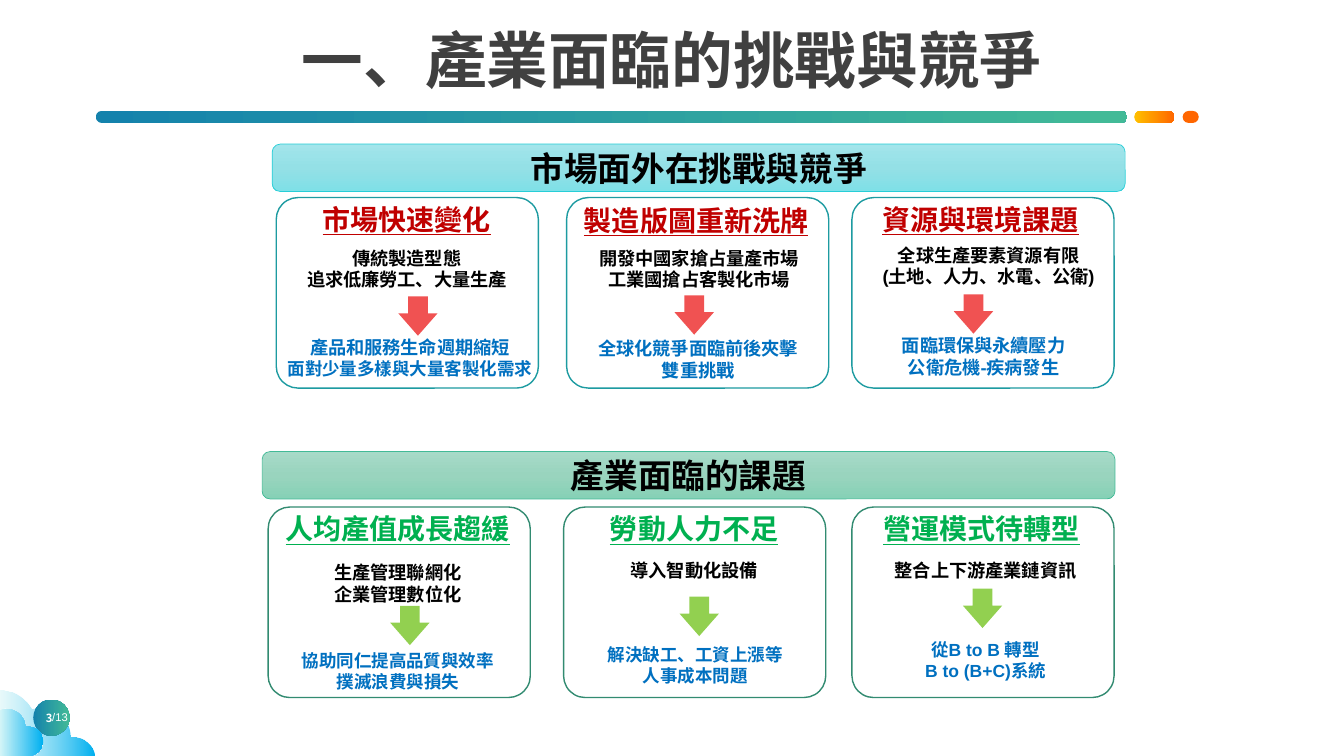
"""Builds the slide on the challenges and competition the industry faces."""
import itertools
import pptx
import pptx.dml.color
import pptx.enum.shapes
import pptx.enum.text
import pptx.oxml
import pptx.oxml.ns
import pptx.util

Inches = pptx.util.Inches
Kind = pptx.enum.shapes.MSO_SHAPE
Align = pptx.enum.text.PP_ALIGN
Anchor = pptx.enum.text.MSO_ANCHOR
Fit = pptx.enum.text.MSO_AUTO_SIZE
SPACE = pptx.oxml.ns.nsdecls("a")
CJK = "Noto Sans CJK SC"
TEAL = ["1482AC", "42BA97"]
SKY = ["D4F5F7", "00B0F0"]


def color(code):
    return pptx.dml.color.RGBColor.from_string(code)


def curve(start, x1, y1, x2, y2, x3, y3, steps=8):
    for i in range(1, steps + 1):
        t = i / steps
        u = 1 - t
        parts = (u ** 3, 3 * u * u * t, 3 * u * t * t, t ** 3)
        yield tuple(sum(k * v for k, v in zip(parts, axis))
                    for axis in ((start[0], x1, x2, x3), (start[1], y1, y2, y3)))


class Deck:
    def __init__(self):
        self.show = pptx.Presentation()
        self.show.slide_width = Inches(13.33)
        self.show.slide_height = Inches(7.5)
        self.slide = self.show.slides.add_slide(self.show.slide_layouts[5])
        self.shapes = self.slide.shapes

    def paint(self, shape, fill, line=None, width=1, angle=0, alpha=100):
        shape.shadow.inherit = False
        if isinstance(fill, str):
            shape.fill.solid()
            shape.fill.fore_color.rgb = color(fill)
        else:
            shape.fill.background()
            stops = ""
            for i, code in enumerate(fill):
                clear = alpha if i == 0 else 100
                stops += (f'<a:gs pos="{100000 * i // (len(fill) - 1)}"><a:srgbClr val="{code}">'
                          f'<a:alpha val="{clear * 1000}"/></a:srgbClr></a:gs>')
            grad = pptx.oxml.parse_xml(f'<a:gradFill {SPACE} rotWithShape="1"><a:gsLst>{stops}</a:gsLst>'
                                       f'<a:lin ang="{angle * 60000}" scaled="0"/></a:gradFill>')
            props = shape._element.spPr
            props.replace(props.find(pptx.oxml.ns.qn("a:noFill")), grad)
        if line:
            shape.line.color.rgb = color(line)
            shape.line.width = pptx.util.Pt(width)
        else:
            shape.line.fill.background()

    def shape(self, kind, x, y, w, h, fill, adjust=(), **style):
        shape = self.shapes.add_shape(kind, Inches(x), Inches(y), Inches(w), Inches(h))
        for i, value in enumerate(adjust):
            shape.adjustments[i] = value
        self.paint(shape, fill, **style)
        return shape

    def cloud(self, route, alpha=100):
        points = [route[0]]
        for step in route[1:]:
            points += [step] if len(step) == 2 else curve(points[-1], *step)
        spots = [(Inches(x), Inches(y)) for x, y in points]
        form = self.shapes.build_freeform(*spots[0], scale=1.0)
        form.add_line_segments(spots[1:], close=True)
        self.paint(form.convert_to_shape(), SKY, alpha=alpha)

    def letter(self, frame, lines, sizes, ink, name="Arial", align=Align.CENTER,
               bold=True, under=None):
        for i, (line, size) in enumerate(zip(lines, itertools.cycle(sizes))):
            para = frame.add_paragraph() if i else frame.paragraphs[0]
            para.text = line
            para.alignment = align
            font = para.font
            font.size = pptx.util.Pt(size)
            font.bold = bold
            font.underline = under
            font.color.rgb = color(ink)
            font.name = name
            latin = para._p.pPr.find(".//" + pptx.oxml.ns.qn("a:latin"))
            latin.addnext(pptx.oxml.parse_xml(f'<a:ea {SPACE} typeface="{CJK}"/>'))

    def text(self, x, y, w, h, lines, sizes, ink, wrap=True, anchor=Anchor.TOP, **style):
        frame = self.shapes.add_textbox(Inches(x), Inches(y), Inches(w), Inches(h)).text_frame
        frame.word_wrap = wrap
        frame.vertical_anchor = anchor
        self.letter(frame, lines, sizes, ink, **style)
        return frame

    def block(self, spot, lines, sizes, ink, **style):
        mid, top = spot
        count = len(lines) + sum(line.count("\v") for line in lines)
        high = 0.1 + count * sizes[0] / 60
        frame = self.text(mid - 1.32, top, 2.65, high, lines, sizes, ink, **style)
        frame.auto_size = Fit.SHAPE_TO_FIT_TEXT

    def title(self, words):
        head = self.shapes.title
        head.left, head.top = Inches(0), Inches(0.06)
        head.width, head.height = Inches(13.33), Inches(1.04)
        frame = head.text_frame
        frame.auto_size = Fit.NONE
        frame.vertical_anchor = Anchor.MIDDLE
        self.letter(frame, [words], [44], "404040", name=CJK)

    def banner(self, x, y, words, fill, line):
        bar = self.shape(Kind.ROUNDED_RECTANGLE, x, y, 8.46, 0.47, fill,
                         line=line, width=0.5, angle=90)
        bar.text_frame.vertical_anchor = Anchor.MIDDLE
        self.letter(bar.text_frame, [words], [24], "000000", name=CJK)

    def card(self, x, y, look, head, note, arrow, goal):
        edge, ink, mark = look
        self.shape(Kind.ROUNDED_RECTANGLE, x, y, 2.6, 1.89, "FFFFFF", [0.114], line=edge)
        self.block(head[0], [head[1]], [20], ink, under=True)
        self.block(note[0], note[1], [13], "000000")
        self.block(goal[0], goal[1], goal[2], "0070C0")
        self.shape(Kind.DOWN_ARROW, *arrow, 0.39, 0.39, mark, [0.5, 0.57])


BACK = [(0, 6.85), (0.05, 6.85), (0.16, 6.86, 0.26, 6.93, 0.32, 7.03),
        (0.4, 7, 0.5, 7.02, 0.58, 7.07), (0.65, 7.12, 0.7, 7.21, 0.7, 7.3), (0.72, 7.3),
        (0.83, 7.3, 0.92, 7.38, 0.94, 7.48), (0.94, 7.5), (0.28, 7.5),
        (0.34, 7.5, 0.39, 7.46, 0.41, 7.42), (0.44, 7.37, 0.43, 7.31, 0.4, 7.27),
        (0.37, 7.23, 0.33, 7.21, 0.29, 7.21), (0.25, 7.21),
        (0.25, 7.13, 0.19, 7.06, 0.11, 7.04), (0.09, 7.03, 0.07, 7.03, 0.05, 7.03), (0, 7.05)]
FRONT = [(0.05, 7.03), (0.11, 7.04), (0.19, 7.06, 0.25, 7.13, 0.25, 7.21), (0.29, 7.21),
         (0.33, 7.22), (0.36, 7.23, 0.38, 7.24, 0.4, 7.27),
         (0.43, 7.31, 0.44, 7.37, 0.41, 7.42), (0.39, 7.46, 0.34, 7.5, 0.28, 7.5),
         (0, 7.5), (0, 7.05)]
RED = ("1D9BA1", "C00000", "F05252")
GREEN = ("328B71", "00B050", "92D050")
MARKET = [
    (2.74, ((4.03, 1.96), "市場快速變化"),
     ((4.03, 2.4), ["傳統製造型態\v追求低廉勞工、大量生產"]), (3.95, 2.94),
     ((4.06, 3.29), ["產品和服務生命週期縮短", "面對少量多樣與大量客製化需求"], [13, 12.5])),
    (5.62, ((6.9, 1.97), "製造版圖重新洗牌"),
     ((6.93, 2.4), ["開發中國家搶占量產市場\v工業國搶占客製化市場"]), (6.69, 2.93),
     ((6.92, 3.3), ["全球化競爭面臨前後夾擊", "雙重挑戰"], [13])),
    (8.45, ((9.72, 1.96), "資源與環境課題"),
     ((9.8, 2.37), ["全球生產要素資源有限\v(土地、人力、水電、公衛)"]), (9.46, 2.92),
     ((9.75, 3.27), ["面臨環保與永續壓力", "公衛危機-疾病發生"], [13])),
]
ISSUES = [
    (2.66, ((3.94, 5.03), "人均產值成長趨緩"),
     ((3.94, 5.52), ["生產管理聯網化", "企業管理數位化"]), (3.87, 6.01),
     ((3.94, 6.4), ["協助同仁提高品質與效率", "撲滅浪費與損失"], [12.5])),
    (5.59, ((6.88, 5.03), "勞動人力不足"),
     ((6.88, 5.5), ["導入智動化設備"]), (6.74, 5.92),
     ((6.89, 6.34), ["解決缺工、工資上漲等", "人事成本問題"], [12.5])),
    (8.45, ((9.73, 5.03), "營運模式待轉型"),
     ((9.77, 5.5), ["整合上下游產業鏈資訊"]), (9.55, 5.84),
     ((9.77, 6.29), ["從B to B 轉型", "B to (B+C)系統"], [12.5])),
]


def main():
    deck = Deck()
    deck.cloud(BACK, alpha=50)
    for x, w, fill in ((0.95, 10.23, TEAL), (11.25, 0.4, ["FFC000", "FF6600"]),
                       (11.73, 0.16, "FF6600")):
        deck.shape(Kind.ROUNDED_RECTANGLE, x, 1.1, w, 0.12, fill, [0.5])
    deck.shape(Kind.OVAL, 0.33, 6.94, 0.36, 0.36, TEAL)
    deck.cloud(FRONT)
    deck.text(0.42, 7, 0.36, 0.24, ["/13"], [8], "FFFFFF", wrap=False,
              align=Align.LEFT, bold=False)
    deck.title("一、產業面臨的挑戰與競爭")
    deck.text(0.12, 6.92, 0.5, 0.4, ["3"], [8], "FFFFFF", anchor=Anchor.MIDDLE,
              align=Align.RIGHT, name=CJK)
    deck.banner(2.7, 1.43, "市場面外在挑戰與競爭", ["A2E5EB", "94E0E6", "7FE0E7"], "27CED7")
    deck.banner(2.6, 4.48, "產業面臨的課題", ["A7DAC8", "99D4BE", "86D1B6"], "42BA97")
    for top, look, cards in ((1.96, RED, MARKET), (5.03, GREEN, ISSUES)):
        for left, *parts in cards:
            deck.card(left, top, look, *parts)
    deck.show.save("out.pptx")


if __name__ == "__main__":
    main()
